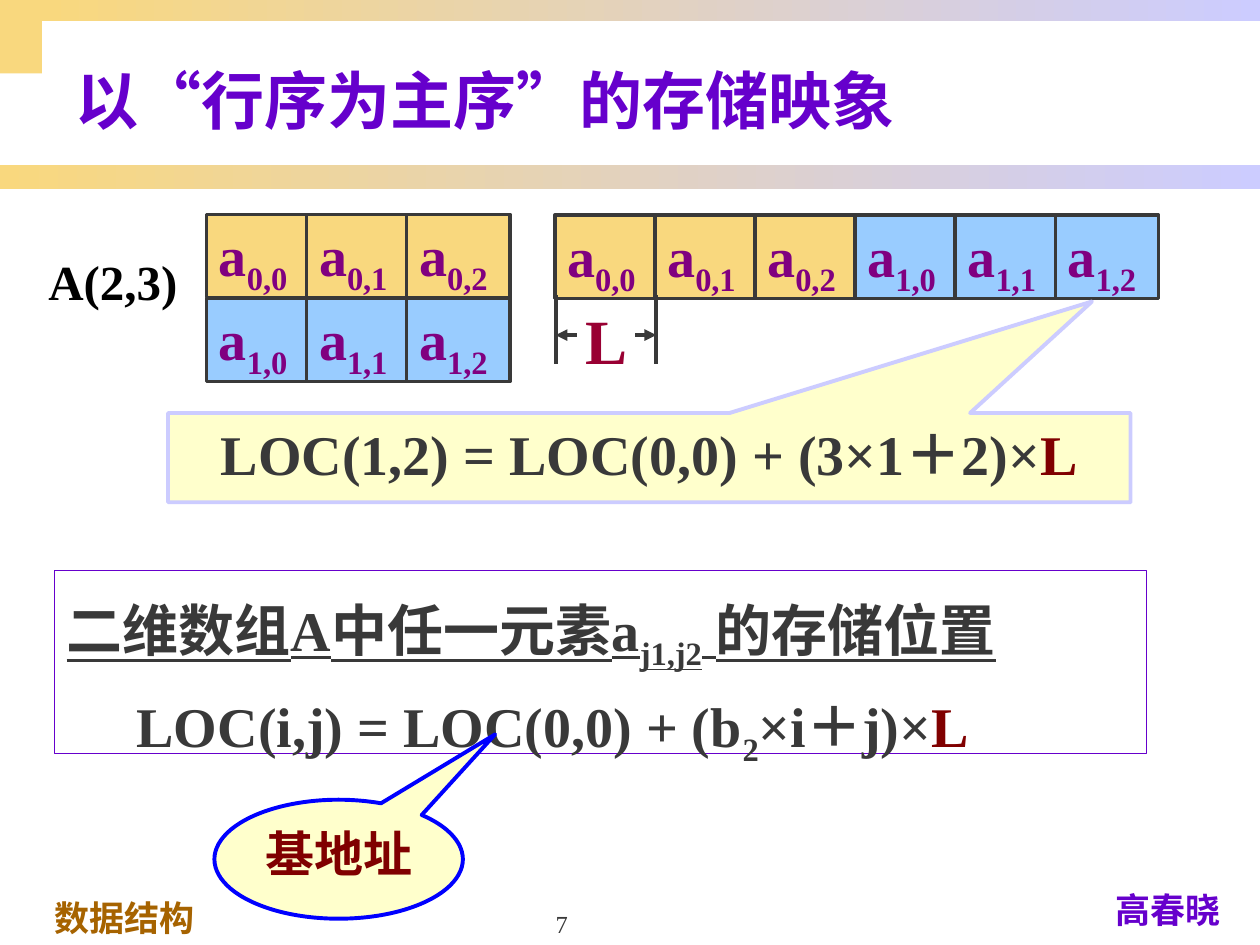
from dataclasses import dataclass

from pptx import Presentation
from pptx.dml.color import RGBColor
from pptx.enum.lang import MSO_LANGUAGE_ID
from pptx.enum.shapes import MSO_CONNECTOR, MSO_SHAPE
from pptx.enum.text import MSO_ANCHOR, MSO_AUTO_SIZE, PP_ALIGN
from pptx.oxml.ns import qn
from pptx.util import Pt
from lxml import etree

RECT = MSO_SHAPE.RECTANGLE
RECT_CALLOUT = MSO_SHAPE.RECTANGULAR_CALLOUT
OVAL_CALLOUT = MSO_SHAPE.OVAL_CALLOUT
STRAIGHT = MSO_CONNECTOR.STRAIGHT
TOP, MIDDLE, BOTTOM = MSO_ANCHOR.TOP, MSO_ANCHOR.MIDDLE, MSO_ANCHOR.BOTTOM
LEFT, CENTER = PP_ALIGN.LEFT, PP_ALIGN.CENTER
CHINESE = MSO_LANGUAGE_ID.SIMPLIFIED_CHINESE


@dataclass(frozen=True)
class Theme:
    font: str = "Times New Roman"
    gold: str = "F9D87E"
    lilac: str = "CCCCFF"
    sky: str = "99CCFF"
    cream: str = "FFFFCC"
    violet: str = "6600CC"
    brown: str = "A66300"
    ink: str = "393939"
    black: str = "000000"
    purple: str = "800080"
    maroon: str = "800000"
    crimson: str = "990033"
    blue: str = "0000FF"
    title: int = 36
    formula: int = 32
    label: int = 28
    footer: int = 20
    number: int = 14


THEME = Theme()
CELL_WIDTH, CELL_HEIGHT, CELL_PITCH = 59, 47.5, 57.2
ROW_FILLS = (THEME.gold, THEME.sky)


def rgb(value):
    return RGBColor.from_string(value)


def points(*values):
    return [Pt(value) for value in values]


def add_run(paragraph, text, size, color, bold=True, underline=False, subscript=False):
    run = paragraph.add_run()
    run.text = text
    font = run.font
    font.name, font.size, font.bold = THEME.font, Pt(size), bold
    font.color.rgb = rgb(color)
    font.language_id = CHINESE
    if underline:
        font.underline = True
    if subscript:
        font._element.set("baseline", "-25000")


def prepare_text(holder, align=LEFT, anchor=TOP):
    frame = holder.text_frame
    frame.word_wrap = True
    frame.auto_size = MSO_AUTO_SIZE.NONE
    frame.vertical_anchor = anchor
    frame.paragraphs[0].alignment = align
    return frame.paragraphs[0]


def add_panel(slide, kind, box, fill=None, line=None, width=0.75):
    panel = slide.shapes.add_shape(kind, *points(*box))
    panel.shadow.inherit = False
    if fill:
        panel.fill.solid()
        panel.fill.fore_color.rgb = rgb(fill)
    else:
        panel.fill.background()
    if line:
        panel.line.color.rgb = rgb(line)
        panel.line.width = Pt(width)
    else:
        panel.line.fill.background()
    return panel


def add_label(slide, box, text, size, color, align=LEFT, anchor=TOP, bold=True):
    label = slide.shapes.add_textbox(*points(*box))
    add_run(prepare_text(label, align, anchor), text, size, color, bold)


def add_line(slide, start, end, arrow=False):
    line = slide.shapes.add_connector(STRAIGHT, *points(*start, *end))
    line.line.color.rgb = rgb(THEME.ink)
    line.line.width = Pt(2.25)
    properties = line.element.spPr
    if arrow:
        etree.SubElement(properties.find(qn("a:ln")), qn("a:tailEnd"), type="triangle")
    etree.SubElement(properties, qn("a:effectLst"))


def add_band(slide, box):
    band = add_panel(slide, RECT, box)
    band.fill.gradient()
    band.fill.gradient_angle = 0
    for stop, color in zip(band.fill.gradient_stops, (THEME.gold, THEME.lilac)):
        stop.color.rgb = rgb(color)


def add_header(slide, box):
    left, top, width, height = box
    add_panel(slide, RECT, (left, top, 24, 42), THEME.gold)
    add_band(slide, (left, top + height - 13.5, width, 13.5))
    add_band(slide, (left + 24, top, width - 24, 12))
    title = slide.shapes.title
    title.left, title.top, title.width, title.height = points(left + 36, top + 18, width - 36, 77)
    add_run(prepare_text(title, LEFT, MIDDLE), "以“行序为主序”的存储映象", THEME.title, THEME.violet)


def add_footer(slide, box):
    left, top, width, height = box
    add_label(slide, (left + 24, top + 5, 252, 31), "数据结构", THEME.footer, THEME.brown)
    add_label(slide, (left + 620.5, top, 94, 31), "高春晓", THEME.footer, THEME.violet, CENTER)
    add_label(slide, (left + 246, top, 150, height), "7", THEME.number, THEME.ink,
              CENTER, BOTTOM, bold=False)


def add_cells(slide, left, top, indices):
    for column, (i, j) in enumerate(indices):
        box = (left + column * CELL_PITCH, top, CELL_WIDTH, CELL_HEIGHT)
        cell = add_panel(slide, RECT, box, ROW_FILLS[i], THEME.ink, 2)
        element = prepare_text(cell)
        add_run(element, "a", THEME.formula, THEME.purple)
        add_run(element, f"{i},{j}", THEME.formula, THEME.purple, subscript=True)


def add_matrix(slide, left, top):
    for i in range(2):
        add_cells(slide, left, top + i * 48, [(i, j) for j in range(3)])


def add_cell_length(slide, box):
    left, top, width, height = box
    right, middle = left + width, top + 23
    add_label(slide, (left + 10, top, 46, 50), "L", THEME.title, THEME.crimson)
    for x in (left, right):
        add_line(slide, (x, top), (x, top + height))
    add_line(slide, (right - 12, middle), (right, middle), arrow=True)
    add_line(slide, (left + 12, middle), (left, middle), arrow=True)


def add_callout(slide, kind, box, tip, line, runs):
    callout = add_panel(slide, kind, box, THEME.cream, line, 2.25)
    callout.adjustments[0], callout.adjustments[1] = tip
    sentence = prepare_text(callout, CENTER)
    for text, size, color in runs:
        add_run(sentence, text, size, color)


def add_location_rule(slide, box):
    rule = add_panel(slide, RECT, box, line=THEME.violet)
    heading = prepare_text(rule)
    formula = rule.text_frame.add_paragraph()
    formula.alignment = LEFT
    formula._p.get_or_add_pPr().set("marL", str(Pt(40)))
    heading.line_spacing = formula.line_spacing = 1.25
    for text, subscript in (("二维数组A中任一元素a", False), ("j1,j2", True), (" 的存储位置", False)):
        add_run(heading, text, THEME.formula, THEME.ink, underline=True, subscript=subscript)
    for text, color, subscript in (("LOC(i,j) = LOC(0,0) + (b", THEME.ink, False),
                                   ("2", THEME.ink, True),
                                   ("×i＋j)×", THEME.ink, False),
                                   ("L", THEME.maroon, False)):
        add_run(formula, text, THEME.formula, color, subscript=subscript)


def main():
    deck = Presentation()
    deck.slide_width, deck.slide_height = points(720, 540)
    slide = deck.slides.add_slide(deck.slide_layouts[5])
    add_header(slide, (0, 0, 720, 108))
    add_footer(slide, (0, 504, 720, 36))
    add_location_rule(slide, (31, 326, 624, 104.5))
    add_matrix(slide, 118, 122.5)
    add_cells(slide, 317, 123, [(i, j) for i in range(2) for j in range(3)])
    add_cell_length(slide, (317.5, 168.5, 57.5, 39.5))
    add_label(slide, (8, 140, 113, 41), "A(2,3)", THEME.label, THEME.black, CENTER)
    add_callout(slide, OVAL_CALLOUT, (122.5, 457, 142, 68), (0.63, -1.05), THEME.blue,
                [("基地址", THEME.label, THEME.maroon)])
    add_callout(slide, RECT_CALLOUT, (96, 236, 550, 51), (0.46, -1.75), THEME.lilac,
                [("LOC(1,2) = LOC(0,0) + (3×1＋2)×", THEME.formula, THEME.ink),
                 ("L", THEME.formula, THEME.maroon)])
    deck.save("out.pptx")


if __name__ == "__main__":
    main()
